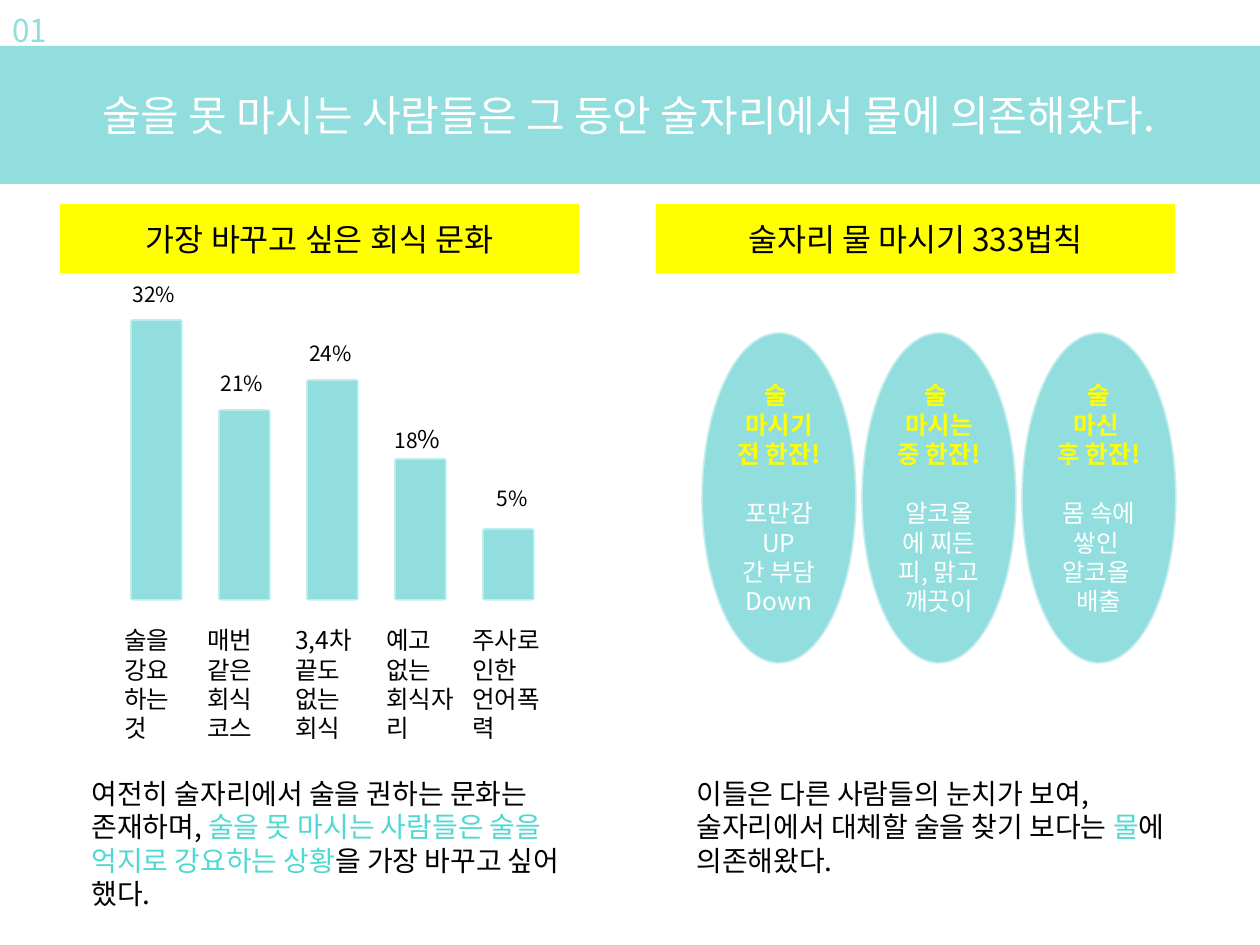
"""Build the slide about drinking culture and the 333 water rule."""
from dataclasses import dataclass

from lxml import etree
from pptx import Presentation
from pptx.dml.color import RGBColor
from pptx.enum.shapes import MSO_SHAPE
from pptx.enum.text import MSO_ANCHOR, PP_ALIGN
from pptx.oxml.ns import qn
from pptx.util import Emu, Pt

RECTANGLE, OVAL = MSO_SHAPE.RECTANGLE, MSO_SHAPE.OVAL
MIDDLE, TOP = MSO_ANCHOR.MIDDLE, MSO_ANCHOR.TOP
CENTER, LEFT = PP_ALIGN.CENTER, PP_ALIGN.LEFT
PX = 914400 / 126


@dataclass(frozen=True)
class Theme:
    font = "Noto Sans CJK KR"
    aqua = RGBColor.from_string("92DEDE")
    teal = RGBColor.from_string("50D8D2")
    yellow = RGBColor.from_string("FFFF00")
    white = RGBColor.from_string("FFFFFF")
    black = RGBColor.from_string("000000")
    styles = {
        "title": {"size": 24, "color": white},
        "number": {"size": 18, "color": aqua},
        "heading": {"size": 18, "color": black},
        "body": {"size": 16, "color": black},
        "accent": {"size": 16, "color": teal},
        "caption": {"size": 14, "color": black},
        "value": {"size": 12, "color": black},
        "rule": {"size": 14, "color": yellow, "bold": True},
        "effect": {"size": 14, "color": white},
    }
    gap = 17


class SlideBuilder:
    def __init__(self, slide, theme):
        self.slide, self.theme = slide, theme

    def box(self, left, top, width, height):
        return [Emu(round(value * PX)) for value in (left, top, width, height)]

    def fill_text(self, shape, paragraphs, align, anchor, wrap=True):
        frame = shape.text_frame
        frame.word_wrap, frame.vertical_anchor = wrap, anchor
        previous = None
        for index, runs in enumerate(paragraphs):
            paragraph = frame.add_paragraph() if index else frame.paragraphs[0]
            paragraph.alignment = align
            if previous == "rule" and runs[0][1] == "effect":
                paragraph.space_before = Pt(self.theme.gap)
            for text, style in runs:
                self.add_run(paragraph, text, style)
            previous = runs[-1][1]

    def add_run(self, paragraph, text, style):
        run = paragraph.add_run()
        run.text = text
        values = self.theme.styles[style]
        settings = {"name": self.theme.font, "size": Pt(values["size"]),
                    "bold": values.get("bold", False)}
        for name, value in settings.items():
            setattr(run.font, name, value)
        run.font.color.rgb = values["color"]
        properties = run._r.get_or_add_rPr()
        etree.SubElement(properties, qn("a:ea"), typeface=self.theme.font)

    def text(self, box, paragraphs, wrap=True):
        shape = self.slide.shapes.add_textbox(*self.box(*box))
        self.fill_text(shape, paragraphs, LEFT, TOP, wrap)

    def shape(self, kind, box, fill, paragraphs=(), line_alpha=None):
        shape = self.slide.shapes.add_shape(kind, *self.box(*box))
        shape.shadow.inherit = False
        shape.fill.solid()
        shape.fill.fore_color.rgb = fill
        if line_alpha is None:
            shape.line.fill.background()
        else:
            shape.line.width = Pt(2)
            shape.line.color.rgb = fill
            color = shape.line._ln.find(".//" + qn("a:srgbClr"))
            etree.SubElement(color, qn("a:alpha"), val=str(line_alpha * 1000))
        self.fill_text(shape, paragraphs, CENTER, MIDDLE)

    def bar(self, left, top, bottom):
        self.shape(RECTANGLE, (left, top, 49, bottom - top), self.theme.aqua, line_alpha=54)

    def banner(self, box, text, fill, style):
        self.shape(RECTANGLE, box, fill, [[(text, style)]])

    def oval(self, left, rules, effects):
        paragraphs = [[(text, "rule")] for text in rules]
        paragraphs += [[(text, "effect")] for text in effects]
        self.shape(OVAL, (left, 334, 152, 328), self.theme.aqua, paragraphs, 52)


BARS = [
    (321, [("32%", "value")], (120, 275), ["술을", "강요하는 것"], (112, 83)),
    (411, [("21%", "value")], (208, 364), ["매번 같은 회식 코스"], (195, 100)),
    (381, [("24%", "value")], (297, 334), ["3,4차 끝도 없는 회식"], (283, 91)),
    (460, [("18", "value"), ("%", "caption")], (382, 418), ["예고 없는 회식자리"], (374, 100)),
    (530, [("5%", "value")], (484, 479), ["주사로 인한 언어폭력"], (460, 100)),
]
OVALS = [
    (["술 ", "마시기 전 한잔!"], ["포만감 UP", "간 부담 Down"]),
    (["술 ", "마시는 중 한잔!"], ["알코올에 찌든 피, 맑고 깨끗이"]),
    (["술", "마신 ", "후 한잔!"], ["몸 속에 쌓인 ", "알코올 ", "배출"]),
]
HEADINGS = [(60, "가장 바꾸고 싶은 회식 문화"), (656, "술자리 물 마시기 333법칙")]
SUMMARIES = [
    ((79, 770, 532, 148), [
        ("여전히 술자리에서 술을 권하는 문화는 존재하며, ", "body"),
        ("술을 못 마시는 사람들은 술을 억지로 강요하는 상황", "accent"),
        ("을 가장 바꾸고 싶어 했다.", "body")]),
    ((684, 770, 518, 115), [
        ("이들은 다른 사람들의 눈치가 보여, 술자리에서 대체할 술을 찾기 보다는 ", "body"),
        ("물", "accent"),
        ("에 의존해왔다.", "body")]),
]


def main():
    presentation = Presentation()
    presentation.slide_width, presentation.slide_height = Emu(9144000), Emu(6858000)
    theme = Theme()
    builder = SlideBuilder(presentation.slides.add_slide(presentation.slide_layouts[6]), theme)
    builder.banner((-4, 46, 1265, 138), "술을 못 마시는 사람들은 그 동안 술자리에서 물에 의존해왔다.",
                   theme.aqua, "title")
    builder.text((0, 5, 184, 50), [[("01", "number")]], wrap=False)
    for index, (top, value, value_at, caption, (left, width)) in enumerate(BARS):
        builder.bar(132 + 88 * index, top, 599)
        builder.text((*value_at, 83, 38), [value])
        builder.text((left, 619, width, 131), [[(line, "caption")] for line in caption])
    for index, (rules, effects) in enumerate(OVALS):
        builder.oval(703 + 160 * index, rules, effects)
    for left, text in HEADINGS:
        builder.banner((left, 204, 519, 69), text, theme.yellow, "heading")
    for box, runs in SUMMARIES:
        builder.text(box, [runs])
    presentation.save("out.pptx")


if __name__ == "__main__":
    main()
